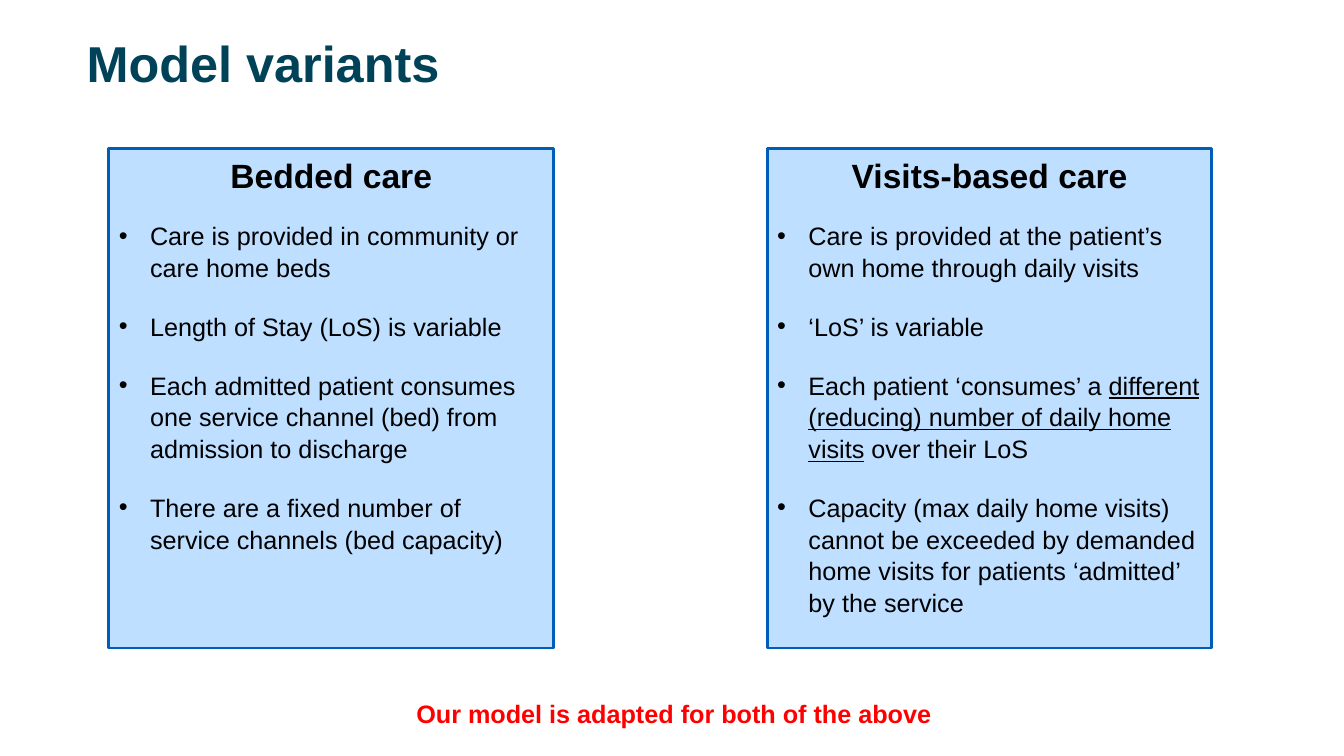
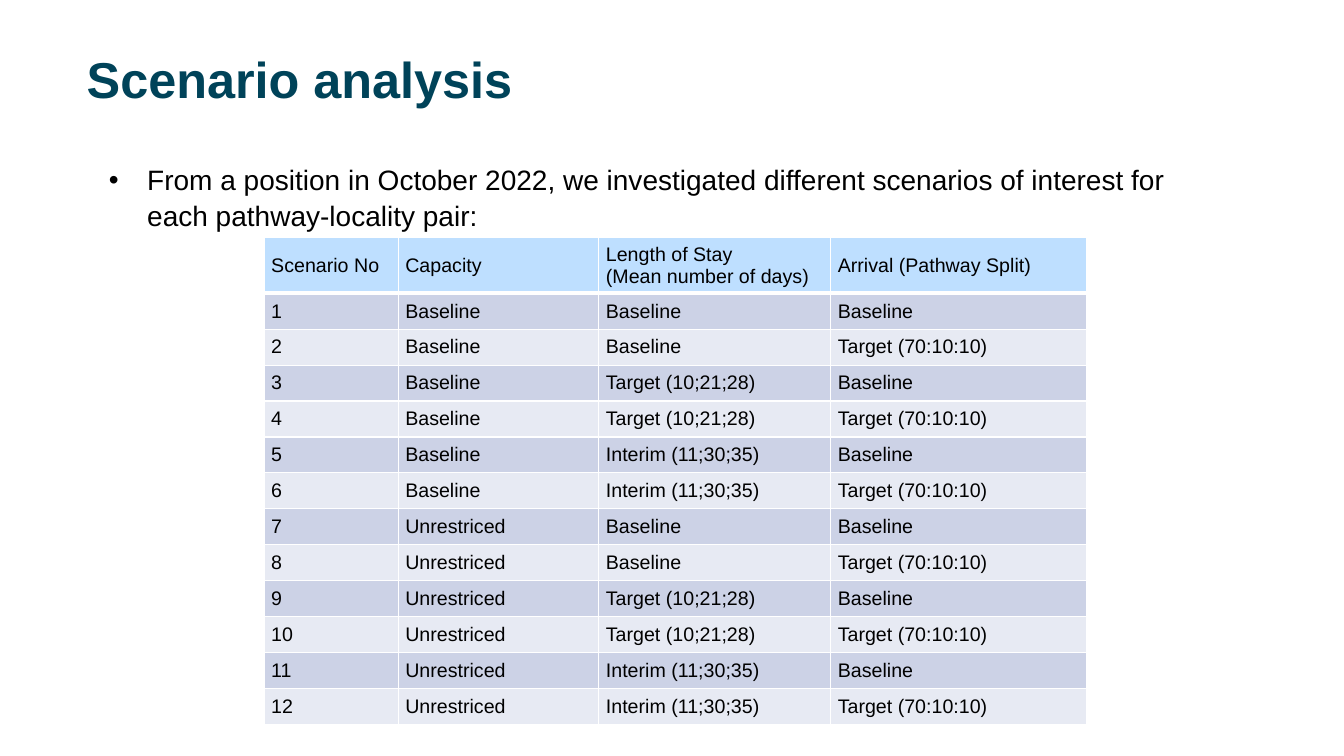
from dataclasses import dataclass
from itertools import product

from lxml import etree
from pptx import Presentation
from pptx.dml.color import RGBColor
from pptx.enum.shapes import MSO_SHAPE
from pptx.enum.text import MSO_ANCHOR, MSO_AUTO_SIZE, PP_ALIGN
from pptx.oxml.ns import qn
from pptx.util import Inches, Pt

RECT = MSO_SHAPE.RECTANGLE
TOP, MIDDLE = MSO_ANCHOR.TOP, MSO_ANCHOR.MIDDLE
LEFT, CENTER = PP_ALIGN.LEFT, PP_ALIGN.CENTER
NO_FIT = MSO_AUTO_SIZE.NONE
TITLE_ONLY = 5


@dataclass(frozen=True)
class Theme:
    font: str = "Arial"
    # Colours
    title: str = "004359"
    text: str = "000000"
    accent: str = "FF0000"
    panel: str = "BEDFFF"
    outline: str = "005EB8"
    bands: tuple = ("CCD2E6", "E7EAF3")
    grid: str = "FFFFFF"
    # Type sizes and spacing in points
    title_size: int = 36
    heading_size: int = 24
    lead_size: int = 20
    body_size: int = 18
    table_size: int = 14
    line_spacing: float = 1.05
    heading_gap: float = 16.9
    item_gap: float = 19.3


class Deck:
    def __init__(self, theme):
        self.theme = theme
        self.prs = Presentation()
        self.prs.slide_width = Inches(13.33)
        self.prs.slide_height = Inches(7.5)
        self.slide = None

    def style(self, p, size, color=None, bold=False, align=LEFT):
        p.alignment = align
        p.line_spacing = self.theme.line_spacing
        for r in p.runs:
            r.font.name = self.theme.font
            r.font.size = Pt(size)
            r.font.bold = bold
            r.font.color.rgb = RGBColor.from_string(color or self.theme.text)

    def bullet(self, p, text, size, indent):
        """Fill a bulleted paragraph; text between underscores is underlined."""
        pPr = p._p.get_or_add_pPr()
        pPr.set("marL", str(Inches(indent)))
        pPr.set("indent", str(-Inches(indent)))
        etree.SubElement(pPr, qn("a:buFont")).set("typeface", self.theme.font)
        etree.SubElement(pPr, qn("a:buChar")).set("char", "•")
        for i, part in enumerate(text.split("_")):
            r = p.add_run()
            r.text = part
            if i % 2:
                r.font.underline = True
        self.style(p, size)

    def add_slide(self, title, top, width):
        layout = self.prs.slide_layouts[TITLE_ONLY]
        self.slide = self.prs.slides.add_slide(layout)
        sp = self.slide.shapes.title
        sp.left, sp.top = Inches(0.76), Inches(top)
        sp.width, sp.height = Inches(width), Inches(0.61)
        tf = sp.text_frame
        tf.text = title
        tf.auto_size = NO_FIT
        tf.vertical_anchor = MIDDLE
        self.style(tf.paragraphs[0], self.theme.title_size, self.theme.title, True)

    def text_box(self, left, top, width, height):
        box = self.slide.shapes.add_textbox(
            Inches(left), Inches(top), Inches(width), Inches(height))
        box.text_frame.word_wrap = True
        return box.text_frame

    def panel(self, left, heading, items):
        t = self.theme
        sp = self.slide.shapes.add_shape(
            RECT, Inches(left), Inches(1.47), Inches(4.41), Inches(4.96))
        sp.shadow.inherit = False
        sp.fill.solid()
        sp.fill.fore_color.rgb = RGBColor.from_string(t.panel)
        sp.line.color.rgb = RGBColor.from_string(t.outline)
        sp.line.width = Pt(2)
        tf = sp.text_frame
        tf.word_wrap = True
        tf.vertical_anchor = TOP
        tf.text = heading
        self.style(tf.paragraphs[0], t.heading_size, bold=True, align=CENTER)
        for i, item in enumerate(items):
            p = tf.add_paragraph()
            self.bullet(p, item, t.body_size, 0.31)
            p.space_before = Pt(t.item_gap if i else t.heading_gap)

    def message(self, text):
        tf = self.text_box(2.18, 6.86, 9.01, 0.4)
        tf.text = text
        self.style(tf.paragraphs[0], self.theme.body_size, self.theme.accent, True, CENTER)

    def lead(self, text):
        tf = self.text_box(1.08, 1.6, 10.79, 5.64)
        tf.margin_left = tf.margin_top = tf.margin_right = tf.margin_bottom = 0
        self.bullet(tf.paragraphs[0], text, self.theme.lead_size, 0.38)

    def borders(self, cell, top, bottom):
        tcPr = cell._tc.get_or_add_tcPr()
        widths = {"a:lnL": 1, "a:lnR": 1, "a:lnT": top, "a:lnB": bottom}
        for i, (tag, width) in enumerate(widths.items()):
            ln = etree.Element(qn(tag), w=str(Pt(width)))
            fill = etree.SubElement(ln, qn("a:solidFill"))
            etree.SubElement(fill, qn("a:srgbClr")).set("val", self.theme.grid)
            tcPr.insert(i, ln)

    def table(self, rows, left, top, widths, header_height, row_height):
        t = self.theme
        height = header_height + row_height * (len(rows) - 1)
        table = self.slide.shapes.add_table(
            len(rows), len(widths), Inches(left), Inches(top),
            Inches(sum(widths)), Inches(height)).table
        for column, width in zip(table.columns, widths):
            column.width = Inches(width)
        for i, values in enumerate(rows):
            table.rows[i].height = Inches(row_height if i else header_height)
            color = t.bands[(i - 1) % 2] if i else t.panel
            for cell, value in zip(table.rows[i].cells, values):
                cell.text = value
                cell.vertical_anchor = MIDDLE
                cell.margin_left = cell.margin_right = Inches(0.07)
                cell.margin_top = cell.margin_bottom = 0
                cell.fill.solid()
                cell.fill.fore_color.rgb = RGBColor.from_string(color)
                self.borders(cell, 3 if i == 1 else 1, 1 if i else 3)
                for p in cell.text_frame.paragraphs:
                    self.style(p, t.table_size)
                    p.line_spacing = 1.0


def main():
    deck = Deck(Theme())

    # Model variants
    deck.add_slide("Model variants", 0.3, 4.25)
    deck.panel(1.08, "Bedded care", [
        "Care is provided in community or care home beds",
        "Length of Stay (LoS) is variable",
        "Each admitted patient consumes one service channel (bed) "
        "from admission to discharge",
        "There are a fixed number of service channels (bed capacity)",
    ])
    deck.panel(7.61, "Visits-based care", [
        "Care is provided at the patient’s own home through daily visits",
        "‘LoS’ is variable",
        "Each patient ‘consumes’ a _different (reducing) number of daily "
        "home visits_ over their LoS",
        "Capacity (max daily home visits) cannot be exceeded by demanded "
        "home visits for patients ‘admitted’ by the service",
    ])
    deck.message("Our model is adapted for both of the above")

    # Scenario analysis: every combination of capacity, stay and arrival
    deck.add_slide("Scenario analysis", 0.46, 10.56)
    deck.lead("From a position in October 2022, we investigated different "
              "scenarios of interest for each pathway-locality pair:")
    scenarios = product(
        ("Baseline", "Unrestriced"),
        ("Baseline", "Target (10;21;28)", "Interim (11;30;35)"),
        ("Baseline", "Target (70:10:10)"),
    )
    header = ("Scenario No", "Capacity",
              "Length of Stay\n(Mean number of days)", "Arrival (Pathway Split)")
    rows = [header] + [(str(n), *s) for n, s in enumerate(scenarios, 1)]
    deck.table(rows, 2.62, 2.36, (1.33, 1.99, 2.3, 2.54), 0.55, 4.28 / 12)

    deck.prs.save("out.pptx")


if __name__ == "__main__":
    main()
